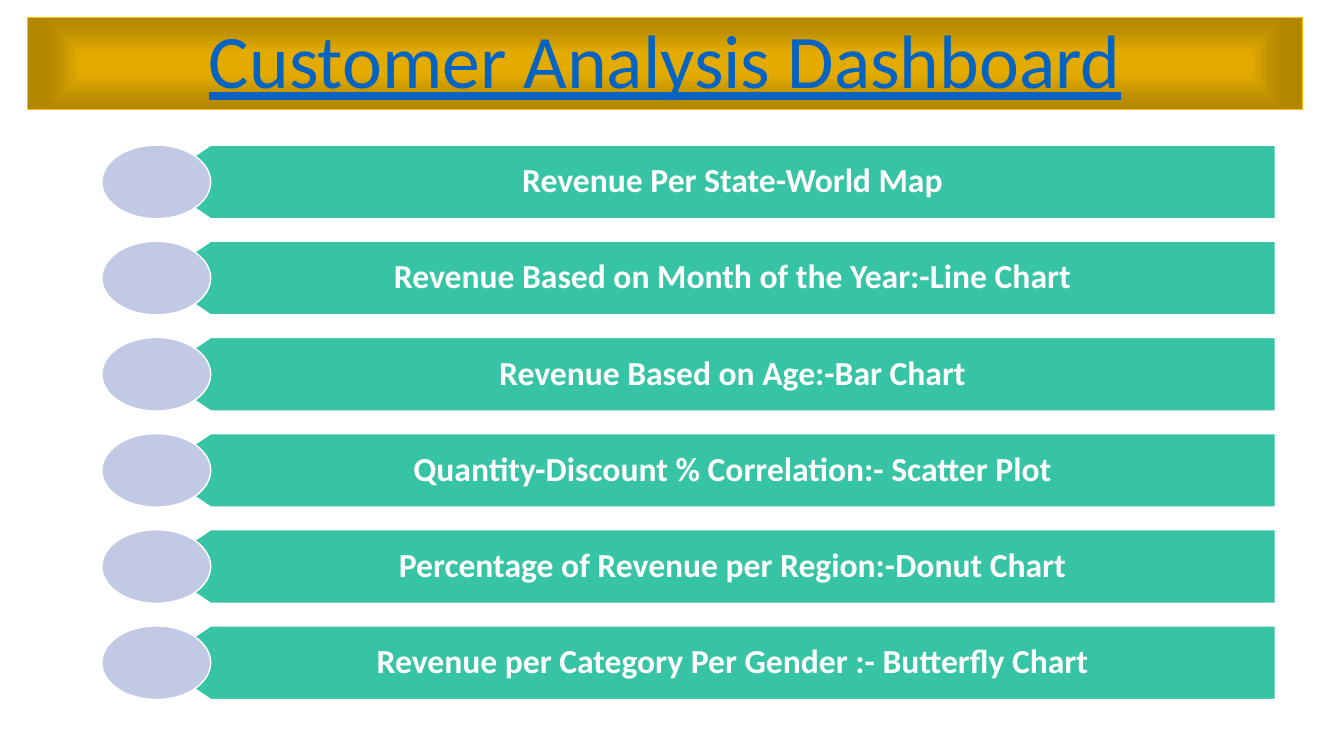
from pptx import Presentation
from pptx.dml.color import RGBColor
from pptx.enum.shapes import MSO_SHAPE
from pptx.enum.text import MSO_ANCHOR, MSO_AUTO_SIZE, PP_ALIGN
from pptx.oxml import parse_xml
from pptx.oxml.ns import nsdecls
from pptx.util import Inches, Pt
from lxml.etree import SubElement

COLORS = {
    "gold": "E3AB00",
    "bronze": "BF9000",
    "dark_bronze": "B28600",
    "amber": "FFC000",
    "link_blue": "0563C1",
    "teal": "2EC2A2",
    "lavender": "C1C9E4",
    "white": "FFFFFF",
}
BANNER_STOPS = [(0, "gold"), (23, "gold"), (69, "bronze"), (97, "dark_bronze")]
CHART_TOPICS = [
    "Revenue Per State-World Map",
    "Revenue Based on Month of the Year:-Line Chart",
    "Revenue Based on Age:-Bar Chart",
    "Quantity-Discount % Correlation:- Scatter Plot",
    "Percentage of Revenue per Region:-Donut Chart",
    "Revenue per Category Per Gender :- Butterfly Chart",
]
BULLET_LEFT = Inches(1.01)
BULLET_WIDTH = Inches(1.08)
BAR_POINT = BULLET_LEFT + BULLET_WIDTH // 2
BAR_SHOULDER = BULLET_LEFT + BULLET_WIDTH
BAR_RIGHT = Inches(12.65)
FIRST_ROW = Inches(1.44)
ROW_HEIGHT = Inches(0.73)
ROW_PITCH = Inches(0.954)


def paint(part, fill, line, weight):
    if fill:
        part.fill.solid()
        part.fill.fore_color.rgb = RGBColor.from_string(COLORS[fill])
    part.line.color.rgb = RGBColor.from_string(COLORS[line])
    part.line.width = Pt(weight)


def write(part, wording, size, color, anchor):
    frame = part.text_frame
    frame.word_wrap = True
    frame.auto_size = MSO_AUTO_SIZE.NONE
    frame.vertical_anchor = anchor
    paragraph = frame.paragraphs[0]
    paragraph.alignment = PP_ALIGN.CENTER
    paragraph.line_spacing = 0.9
    run = paragraph.add_run()
    run.text = wording
    run.font.name = "Calibri"
    run.font.size = Pt(size)
    run.font.color.rgb = RGBColor.from_string(COLORS[color])
    return run


deck = Presentation()
deck.slide_width, deck.slide_height = Inches(13.33), Inches(7.5)
slide = deck.slides.add_slide(deck.slide_layouts[5])

banner = slide.shapes.title
banner.left, banner.top = Inches(0.27), Inches(0.17)
banner.width, banner.height = Inches(12.65), Inches(0.92)
stops = "".join(
    f'<a:gs pos="{share * 1000}"><a:srgbClr val="{COLORS[shade]}"/></a:gs>'
    for share, shade in BANNER_STOPS
)
banner.element.spPr.append(parse_xml(
    f'<a:gradFill {nsdecls("a")}><a:gsLst>{stops}</a:gsLst><a:path path="shape">'
    '<a:fillToRect l="50000" t="50000" r="50000" b="50000"/></a:path></a:gradFill>'
))
paint(banner, None, "amber", 0.5)
heading = write(banner, "Customer Analysis Dashboard", 54, "link_blue", MSO_ANCHOR.BOTTOM)
heading.font.underline = True

for row, topic in enumerate(CHART_TOPICS):
    top = FIRST_ROW + row * ROW_PITCH
    middle, bottom = top + ROW_HEIGHT // 2, top + ROW_HEIGHT

    outline = slide.shapes.build_freeform(BAR_RIGHT, bottom)
    outline.add_line_segments([
        (BAR_SHOULDER, bottom),
        (BAR_POINT, middle),
        (BAR_SHOULDER, top),
        (BAR_RIGHT, top),
    ], close=True)
    bar = outline.convert_to_shape()
    bar.shadow.inherit = False
    paint(bar, "teal", "white", 1)
    teal = bar.element.spPr.find("{*}solidFill/{*}srgbClr")
    SubElement(teal, teal.tag.replace("srgbClr", "alpha"), val="96000")
    bar.text_frame.margin_left = Inches(0.52)
    bar.text_frame.margin_right = Inches(0.19)
    bar.text_frame.margin_top = bar.text_frame.margin_bottom = Inches(0.1)
    write(bar, topic, 24, "white", MSO_ANCHOR.MIDDLE).font.bold = True

    bullet = slide.shapes.add_shape(
        MSO_SHAPE.OVAL, BULLET_LEFT, top, BULLET_WIDTH, ROW_HEIGHT
    )
    bullet.shadow.inherit = False
    paint(bullet, "lavender", "white", 1)

deck.save("out.pptx")
